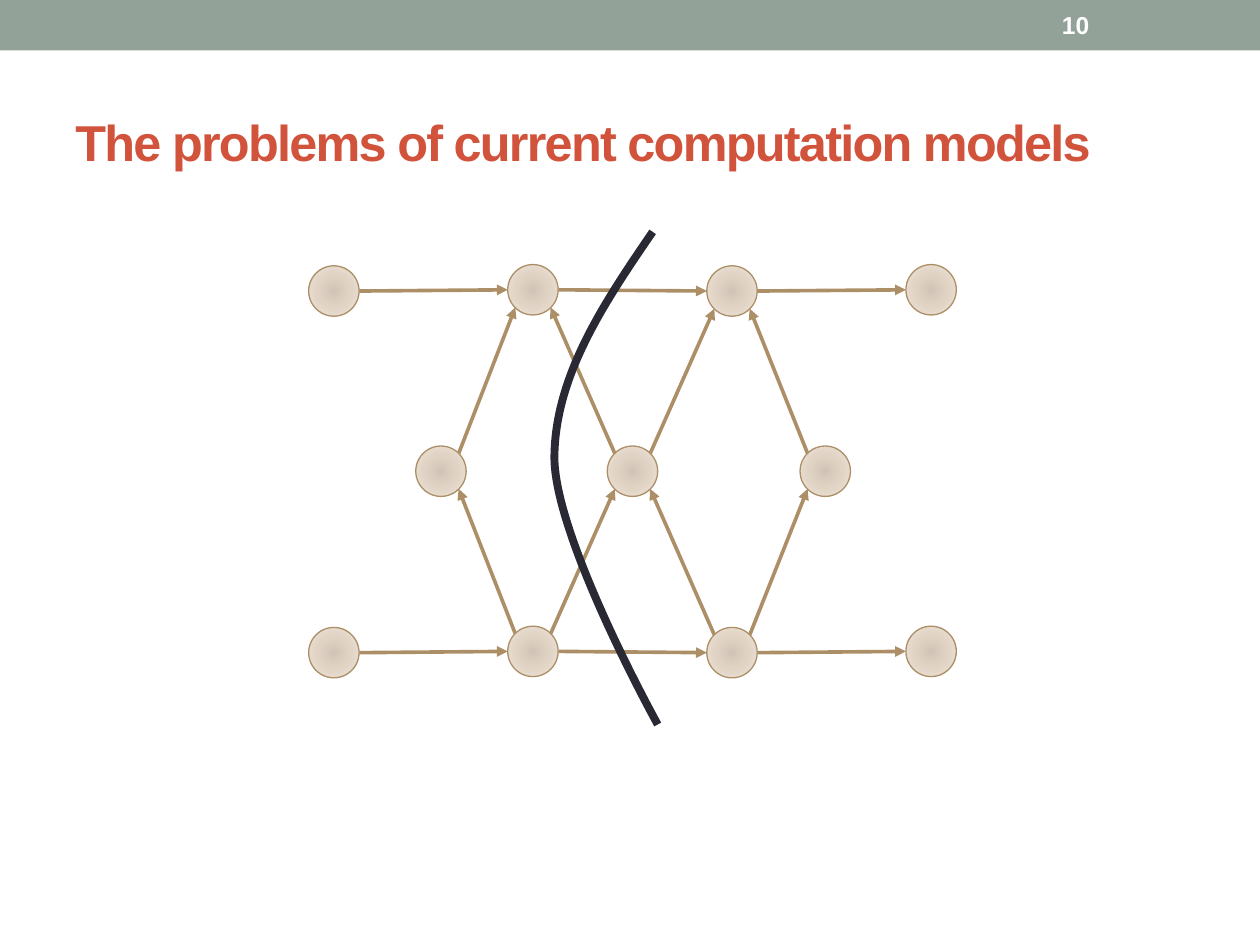
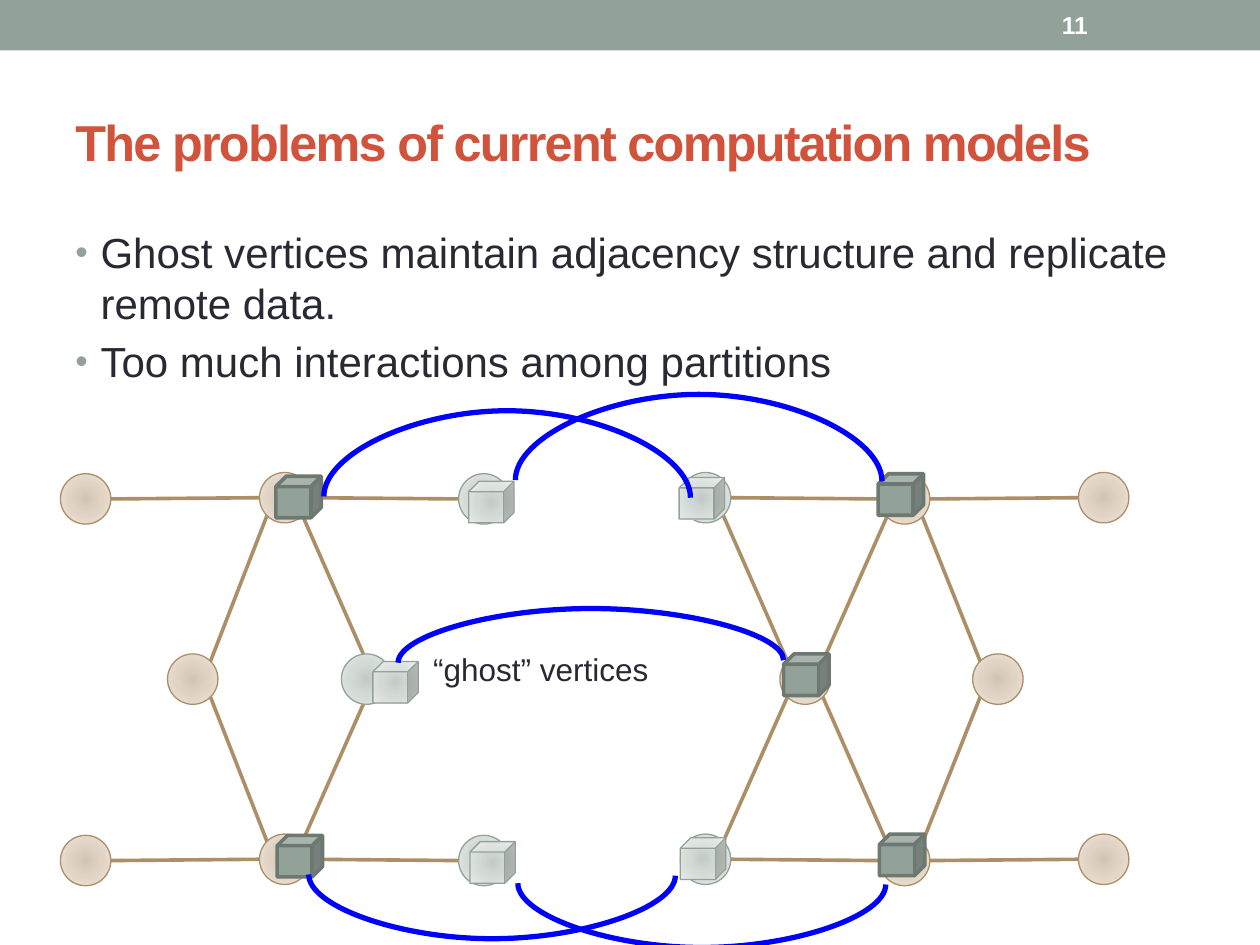
from pptx import Presentation
from pptx.dml.color import RGBColor
from pptx.enum.shapes import MSO_CONNECTOR, MSO_SHAPE
from pptx.enum.text import MSO_ANCHOR
from pptx.oxml import parse_xml
from pptx.oxml.ns import nsdecls, qn
from pptx.util import Inches, Pt
from lxml.etree import SubElement

SAGE = RGBColor(0x93, 0xA2, 0x99)
DARK_SAGE = RGBColor(0x6D, 0x78, 0x71)
RUST = RGBColor(0xD2, 0x53, 0x3C)
TAN = RGBColor(0xAD, 0x8F, 0x67)
INK = RGBColor(0x29, 0x29, 0x34)
BLUE = RGBColor(0x00, 0x00, 0xFF)
WHITE = RGBColor(0xFF, 0xFF, 0xFF)
# Radial gradients: colours at 0, 45 and 100 percent
TAN_GLOW = (RGBColor(0xD1, 0xC4, 0xB6), RGBColor(0xE1, 0xD3, 0xC4), RGBColor(0xEF, 0xE7, 0xDF))
SAGE_GLOW = (RGBColor(0xC4, 0xCA, 0xC6), RGBColor(0xD3, 0xDA, 0xD6), RGBColor(0xE7, 0xEA, 0xE8))

FONT = "Arial"
TITLE = "The problems of current computation models"
NODE = 0.4
CORNER = 0.06  # inset of a circle's diagonal points from its bounding box
CUBE = (0.36, 0.33)


def add_solid(slide, kind, box, fill, line=None, weight=0.75):
    """Add a preset shape; fill is one colour or the three of a radial gradient."""
    solid = slide.shapes.add_shape(kind, *map(Inches, box))
    solid.shadow.inherit = False
    if isinstance(fill, RGBColor):
        solid.fill.solid()
        solid.fill.fore_color.rgb = fill
    else:
        solid.fill.background()
        stops = "".join(
            f'<a:gs pos="{pos}"><a:srgbClr val="{color}"/></a:gs>'
            for pos, color in zip((0, 45000, 100000), fill))
        gradient = parse_xml(
            f'<a:gradFill {nsdecls("a")} rotWithShape="1"><a:gsLst>{stops}</a:gsLst>'
            '<a:path path="circle"><a:fillToRect l="100000" t="100000" r="100000" b="100000"/>'
            '</a:path></a:gradFill>')
        properties = solid._element.spPr
        properties.replace(properties.find(qn("a:noFill")), gradient)
    if line is None:
        solid.line.fill.background()
    else:
        solid.line.color.rgb = line
        solid.line.width = Pt(weight)


def add_curve(slide, points, color, weight):
    """Draw a chain of cubic Bezier curves: a start, then three points per curve."""
    corners = [(Inches(x), Inches(y)) for x, y in points]
    builder = slide.shapes.build_freeform(*corners[0])
    builder.add_line_segments(corners[1:], close=False)
    curve = builder.convert_to_shape()
    curve.shadow.inherit = False
    curve.fill.background()
    curve.line.color.rgb = color
    curve.line.width = Pt(weight)
    outline = curve._element.spPr.find(".//" + qn("a:path"))
    segments = outline.findall(qn("a:lnTo"))
    for start in range(0, len(segments), 3):
        bezier = SubElement(outline, qn("a:cubicBezTo"))
        for segment in segments[start:start + 3]:
            bezier.append(segment[0])
            outline.remove(segment)


prs = Presentation()
prs.slide_width, prs.slide_height = Inches(10), Inches(7.5)
cut_slide, ghost_slide = [prs.slides.add_slide(prs.slide_layouts[6]) for _ in range(2)]

# Band, title, page number and the other texts
texts = []
for number, slide in enumerate((cut_slide, ghost_slide), start=10):
    add_solid(slide, MSO_SHAPE.RECTANGLE, (0, 0, 10, 0.4), SAGE)
    texts += [
        (slide, TITLE, (0.5, 0.58, 9, 1.08), 28.8, RUST, True, MSO_ANCHOR.MIDDLE),
        (slide, str(number), (8.33, 0.02, 1.17, 0.36), 14, WHITE, True, MSO_ANCHOR.MIDDLE),
    ]
BULLETS = ("Ghost vertices maintain adjacency structure and replicate remote data.\n"
           "Too much interactions among partitions")
texts += [
    (ghost_slide, BULLETS, (0.5, 1.75, 9, 5.33), 24, INK, False, MSO_ANCHOR.TOP),
    (ghost_slide, "“ghost” vertices", (3.34, 5.11, 2.57, 0.5), 18, INK, False, MSO_ANCHOR.TOP),
]
for slide, text, box, size, color, bold, anchor in texts:
    frame = slide.shapes.add_textbox(*map(Inches, box)).text_frame
    frame.word_wrap = True
    frame.vertical_anchor = anchor
    frame.text = text
    for paragraph in frame.paragraphs:
        run = paragraph.runs[0]
        run.font.name = FONT
        run.font.size = Pt(size)
        run.font.bold = bold
        run.font.color.rgb = color
        if text == TITLE:
            run._r.get_or_add_rPr().set("spc", "-100")
        if text == BULLETS:
            paragraph.space_before = Pt(4.8)
            settings = paragraph._p.get_or_add_pPr()
            settings.set("marL", str(Inches(0.2)))
            settings.set("indent", str(Inches(-0.2)))
            bullet_color = SubElement(settings, qn("a:buClr"))
            SubElement(bullet_color, qn("a:srgbClr"), val=str(SAGE))
            SubElement(settings, qn("a:buSzPct"), val="85000")
            SubElement(settings, qn("a:buFont"), typeface=FONT)
            SubElement(settings, qn("a:buChar"), char="•")

# The graph: four top (t), three middle (m) and four bottom (b) vertices
vertices = {}
for column in range(4):
    x, y = 2.45 + 1.58 * column, 2.11 - 0.01 * (column % 2)
    vertices[f"t{column + 1}"] = (x, y)
    vertices[f"b{column + 1}"] = (x, y + 2.87)
for column, x in enumerate((3.3, 4.82, 6.35), start=1):
    vertices[f"m{column}"] = (x, 3.54)
EDGES = [edge.split("-") for edge in (
    "t1-t2 t2-t3 t3-t4 b1-b2 b2-b3 b3-b4 "
    "m1-t2 m2-t2 m2-t3 m3-t3 b2-m1 b2-m2 b3-m2 b3-m3").split()]
left_part = {"t1", "t2", "m1", "b1", "b2"}
right_part = set(vertices) - left_part

# Each part shows its own vertices, and ghosts of the neighbours it lacks
for slide, dx, dy, owned, directed in (
        (cut_slide, 0, 0, set(vertices), True),
        (ghost_slide, -1.97, 1.65, left_part, False),
        (ghost_slide, 1.37, 1.65, right_part, False)):
    shown = set()
    for tail, head in EDGES:
        if not owned & {tail, head}:
            continue
        shown |= {tail, head}
        (x1, y1), (x2, y2) = vertices[tail], vertices[head]
        if tail[0] == head[0]:
            ends = (x1 + NODE, y1 + NODE / 2, x2, y2 + NODE / 2)
        else:
            near, far = CORNER, NODE - CORNER
            start_x, end_x = (far, near) if x2 > x1 else (near, far)
            ends = (x1 + start_x, y1 + near, x2 + end_x, y2 + far)
        x1, y1, x2, y2 = ends
        link = slide.shapes.add_connector(
            MSO_CONNECTOR.STRAIGHT,
            Inches(x1 + dx), Inches(y1 + dy), Inches(x2 + dx), Inches(y2 + dy))
        link.line.color.rgb = TAN
        link.line.width = Pt(2.08)
        if directed:
            SubElement(link.line._get_or_add_ln(), qn("a:tailEnd"), type="triangle")
        SubElement(link._element.spPr, qn("a:effectLst"))
    for name in sorted(shown):
        x, y = vertices[name]
        ghost = name not in owned
        if ghost and name == "m2":
            x -= 0.14
        add_solid(slide, MSO_SHAPE.OVAL, (x + dx, y + dy, NODE, NODE),
                  SAGE_GLOW if ghost else TAN_GLOW, SAGE if ghost else TAN)

# The cut through the graph
add_curve(cut_slide, [(5.18, 1.84), (4.79, 2.41), (4.4, 2.99), (4.4, 3.64),
                      (4.41, 4.29), (5.22, 5.75), (5.22, 5.75)], INK, 4.5)

# Data cubes and the links that keep the ghost copies in step
for x, y in ((6.22, 5.19), (6.97, 3.76), (6.98, 6.62), (2.19, 3.78), (2.2, 6.63)):
    add_solid(ghost_slide, MSO_SHAPE.CUBE, (x, y, *CUBE), SAGE, DARK_SAGE, 2.08)
for x, y in ((2.96, 5.25), (3.72, 3.82), (3.73, 6.68), (5.39, 3.79), (5.4, 6.65)):
    add_solid(ghost_slide, MSO_SHAPE.CUBE, (x, y, *CUBE), SAGE_GLOW, SAGE)
for x1, y1, x2, y2, crest in (
        (4.09, 3.81, 7, 3.82, 3.13),
        (3.16, 5.26, 6.22, 5.24, 4.83),
        (4.11, 7.01, 7.03, 7.02, 7.52),
        (2.57, 3.94, 5.48, 3.95, 3.26),
        (2.45, 6.94, 5.36, 6.95, 7.45)):
    quarter = (x2 - x1) / 4
    add_curve(ghost_slide, [
        (x1, y1), (x1, (y1 + crest) / 2), (x1 + quarter, crest), (x1 + 2 * quarter, crest),
        (x2 - quarter, crest), (x2, (y2 + crest) / 2), (x2, y2)], BLUE, 3)

prs.save("out.pptx")
